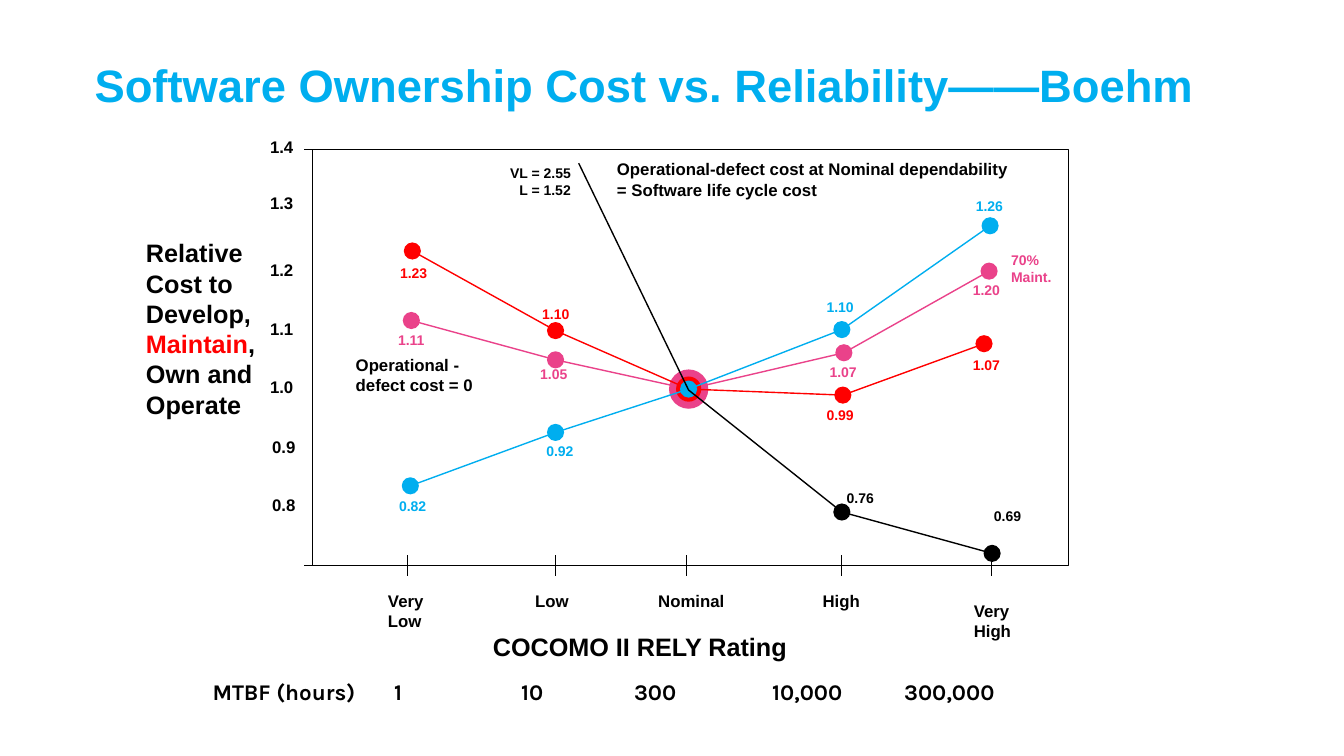
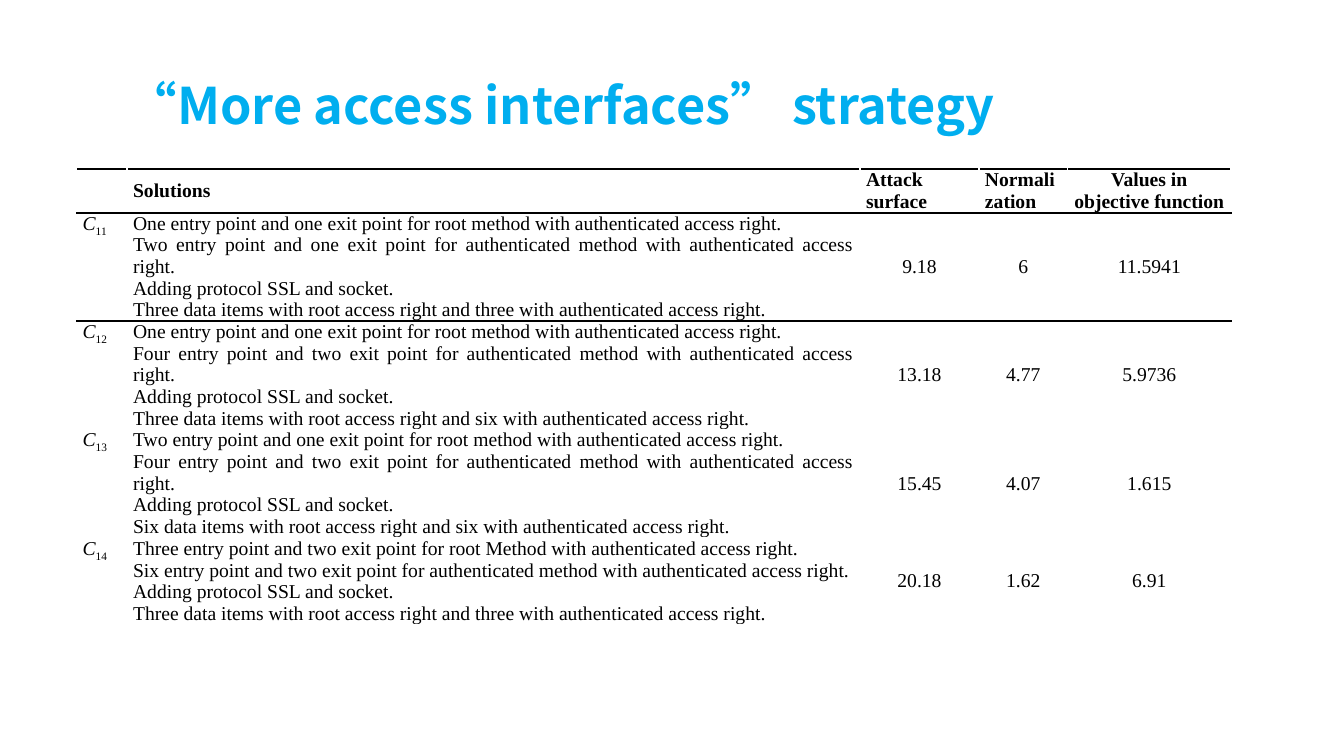
from dataclasses import dataclass

from lxml import etree
from pptx import Presentation
from pptx.dml.color import RGBColor
from pptx.enum import shapes, text
from pptx.oxml import ns
from pptx.util import Inches, Pt


@dataclass(frozen=True)
class Theme:
    cyan: str = "00AEEF"
    pink: str = "EA428A"
    red: str = "FF0000"
    black: str = "000000"
    sans: str = "Arial"
    serif: str = "Times New Roman"
    cjk: str = "Noto Sans CJK SC"
    mtbf: str = "Karla"
    title: float = 36
    small_title: float = 32.4
    heading: float = 18
    scale: float = 16
    cell: float = 14
    label: float = 12
    value: float = 10
    axis_line: float = 0.75
    series_line: float = 1
    rule: float = 1.5


T = Theme()
LEFT, CENTER, RIGHT, JUSTIFY = (getattr(text.PP_ALIGN, name) for name in
                                ("LEFT", "CENTER", "RIGHT", "JUSTIFY"))
DOT = 0.17

# Each series: colour, points (x, y, marker diameter), values (text, left, top)
SERIES = [
    (T.pink,
     [(4.08, 3.18, DOT), (5.51, 3.57, DOT), (6.83, 3.86, 0.39),
      (8.37, 3.5, DOT), (9.81, 2.69, DOT)],
     [("1.11", 3.85, 3.24), ("1.05", 5.26, 3.58), ("1.07", 8.13, 3.56),
      ("1.20", 9.55, 2.74)]),
    (T.red,
     [(4.09, 2.49, DOT), (5.51, 3.28, DOT), (6.83, 3.86, 0.25),
      (8.36, 3.92, DOT), (9.76, 3.41, DOT)],
     [("1.23", 3.87, 2.58), ("1.10", 5.28, 2.98), ("0.99", 8.1, 3.98),
      ("1.07", 9.55, 3.49)]),
    (T.cyan,
     [(4.07, 4.82, DOT), (5.51, 4.29, DOT), (6.83, 3.86, DOT),
      (8.35, 3.27, DOT), (9.82, 2.24, DOT)],
     [("0.82", 3.86, 4.89), ("0.92", 5.32, 4.34), ("1.10", 8.1, 2.91),
      ("1.26", 9.58, 1.91)]),
]
DEFECT_LINE = [(5.74, 1.62), (6.83, 3.87), (8.35, 5.08), (9.84, 5.49)]
DEFECT_VALUES = [("0.76", 8.3, 4.81), ("0.69", 9.76, 4.99)]

COST_TICKS = [("1.4", 2.58, 1.31), ("1.3", 2.58, 1.86), ("1.2", 2.58, 2.53),
              ("1.1", 2.58, 3.11), ("1.0", 2.58, 3.69), ("0.9", 2.6, 4.28),
              ("0.8", 2.6, 4.86)]
# Each rating: label lines, tick x, label left, label width, drop
RATINGS = [(["Very", "Low"], 4.04, 3.75, 0.56, 0),
           (["Low"], 5.51, 5.21, 0.54, 0),
           (["Nominal"], 6.81, 6.43, 0.86, 0),
           (["High"], 8.35, 8.06, 0.57, 0),
           (["Very", "High"], 9.83, 9.56, 0.57, 0.1)]
MTBF = ["MTBF (hours)", "1", "10", "300", "10,000", "300,000"]
MTBF_TABS = [1.8, 3.06, 4.18, 5.55, 6.86]

COLUMNS = [0.5, 7.27, 1.18, 0.88, 1.62]
ROWS = [0.43, 1.07, 1.07, 1.07, 0.86]
HEADERS = ["", "Solutions", "Attack surface", "Normalization",
           "Values in objective function"]
ROOT = "{} entry point and {} exit point for root {} with authenticated access right."
AUTH = ("{} entry point and {} exit point for authenticated method "
        "with authenticated access right.")
SSL = "Adding protocol SSL and socket."
DATA = "{} data items with root access right and {} with authenticated access right."
# Each solution: index, root, authenticated and data counts, results
SOLUTIONS = [
    ("11", ("One", "one", "method"), ("Two", "one"), ("Three", "three"),
     ["9.18", "6", "11.5941"]),
    ("12", ("One", "one", "method"), ("Four", "two"), ("Three", "six"),
     ["13.18", "4.77", "5.9736"]),
    ("13", ("Two", "one", "method"), ("Four", "two"), ("Six", "six"),
     ["15.45", "4.07", "1.615"]),
    ("14", ("Three", "two", "Method"), ("Six", "two"), ("Three", "three"),
     ["20.18", "1.62", "6.91"]),
]


def rgb(color):
    return RGBColor.from_string(color)


def apply(target, values):
    for name, value in values.items():
        setattr(target, name, value)


def font(size, color=T.black, name=T.sans, bold=True):
    return {"size": Pt(size), "name": name, "bold": bold, "color": color}


def add_run(p, content, style):
    r = p.add_run()
    r.text = content
    apply(r.font, {k: v for k, v in style.items() if k != "color"})
    r.font.color.rgb = rgb(style["color"])
    return r


def write(tf, lines, style, align=LEFT):
    """Fill a text frame; a line is a string or a list of (text, overrides)."""
    for i, line in enumerate(lines):
        p = tf.paragraphs[0] if i == 0 else tf.add_paragraph()
        p.alignment = align
        runs = [(line, {})] if isinstance(line, str) else line
        for content, overrides in runs:
            add_run(p, content, {**style, **overrides})


def add_text(s, box, lines, style, wrap=False, align=LEFT):
    tf = s.shapes.add_textbox(*map(Inches, box)).text_frame
    apply(tf, {"word_wrap": wrap,
               "auto_size": text.MSO_AUTO_SIZE.SHAPE_TO_FIT_TEXT})
    write(tf, lines, style, align)
    return tf


def add_title(s, content, box, size, name):
    tf = add_text(s, box, [content], font(size, T.cyan, name), wrap=True)
    apply(tf, {"auto_size": text.MSO_AUTO_SIZE.NONE,
               "vertical_anchor": text.MSO_ANCHOR.BOTTOM})
    p = tf.paragraphs[0]
    p.line_spacing = 0.8
    ea = etree.SubElement(p.runs[0].font._element, ns.qn("a:ea"))
    ea.set("typeface", name)


def add_line(s, start, end, color=T.black, width=T.axis_line):
    c = s.shapes.add_connector(shapes.MSO_CONNECTOR.STRAIGHT,
                               *map(Inches, (*start, *end)))
    c.line.color.rgb = rgb(color)
    c.line.width = Pt(width)
    etree.SubElement(c._element.spPr, ns.qn("a:effectLst"))


def add_dot(s, x, y, size, color):
    box = (x - size / 2, y - size / 2, size, size)
    sp = s.shapes.add_shape(shapes.MSO_SHAPE.OVAL, *map(Inches, box))
    sp.shadow.inherit = False
    sp.fill.solid()
    sp.fill.fore_color.rgb = rgb(color)
    sp.line.fill.background()


def outline(sp, width):
    sp.shadow.inherit = False
    sp.fill.background()
    sp.line.color.rgb = rgb(T.black)
    sp.line.width = Pt(width)


def add_values(s, values, color):
    for content, left, top in values:
        add_text(s, (left, top, 0.47, 0.27), [content], font(T.value, color))


def add_series(s, color, points, values):
    for start, end in zip(points, points[1:]):
        add_line(s, start[:2], end[:2], color, T.series_line)
    for x, y, size in points:
        add_dot(s, x, y, size, color)
    add_values(s, values, color)


def add_defect_line(s):
    start, *rest = [tuple(map(Inches, point)) for point in DEFECT_LINE]
    builder = s.shapes.build_freeform(*start)
    builder.add_line_segments(rest, close=False)
    outline(builder.convert_to_shape(), T.series_line)
    for x, y in DEFECT_LINE[2:]:
        add_dot(s, x, y, DOT, T.black)
    add_values(s, DEFECT_VALUES, T.black)


def add_axes(s):
    left, top, width, height = 3.1, 1.48, 7.5, 4.13
    bottom = top + height
    outline(s.shapes.add_shape(shapes.MSO_SHAPE.RECTANGLE,
                               *map(Inches, (left, top, width, height))),
            T.axis_line)
    for y in (top, bottom):
        add_line(s, (left - 0.08, y), (left + 0.08, y))
    for content, x, y in COST_TICKS:
        add_text(s, (x, y, 0.43, 0.3), [content], font(T.label))
    for lines, x, label_left, label_width, drop in RATINGS:
        add_line(s, (x, bottom - 0.1), (x, bottom + 0.1))
        add_text(s, (label_left, bottom + 0.2 + drop, label_width, 0.2 * len(lines) + 0.1),
                 lines, font(T.label))


def add_mtbf_scale(s):
    tf = add_text(s, (2.01, 6.68, 8.59, 0.37), ["\t".join(MTBF)],
                  font(T.scale, name=T.mtbf), wrap=True)
    tabs = etree.SubElement(tf.paragraphs[0]._p.get_or_add_pPr(), ns.qn("a:tabLst"))
    for position in MTBF_TABS:
        tab = etree.SubElement(tabs, ns.qn("a:tab"))
        tab.set("pos", str(Inches(position)))
        tab.set("algn", "l")


def cost_slide(s):
    add_title(s, "Software Ownership Cost vs. Reliability——Boehm",
              (0.84, 0.58, 11.33, 0.57), T.small_title, T.sans)
    add_axes(s)
    for series in SERIES:
        add_series(s, *series)
    add_defect_line(s)
    heading, label, value = map(font, (T.heading, T.label, T.value))
    add_text(s, (1.35, 2.31, 1.43, 1.9),
             [[("Relative Cost to Develop, ", {}), ("Maintain", {"color": T.red}),
               (",", {})], "Own and", "Operate"], heading, wrap=True)
    add_text(s, (4.79, 6.21, 4.5, 0.4), ["COCOMO II RELY Rating"], heading, wrap=True)
    add_text(s, (9.93, 2.45, 0.75, 0.43), ["70% Maint."],
             font(T.value, T.pink), wrap=True)
    add_text(s, (4.93, 1.58, 0.83, 0.43), ["VL = 2.55", "L = 1.52"], value, align=RIGHT)
    add_text(s, (6.02, 1.53, 4.08, 0.5),
             ["Operational-defect cost at Nominal dependability",
              "= Software life cycle cost"], label)
    add_text(s, (3.43, 3.47, 1.36, 0.5), ["Operational -", "defect cost = 0"], label)
    add_mtbf_scale(s)


def add_borders(cell, edges):
    tcPr = cell._tc.get_or_add_tcPr()
    for i, edge in enumerate(edges):
        ln = etree.Element(ns.qn("a:ln" + edge), w=str(Pt(T.rule)))
        fill = etree.SubElement(ln, ns.qn("a:solidFill"))
        etree.SubElement(fill, ns.qn("a:srgbClr"), val=T.black)
        tcPr.insert(i, ln)


def fill_cell(cell, lines, align, bold=False, anchor=text.MSO_ANCHOR.MIDDLE, edges=""):
    apply(cell, {"margin_left": Inches(0.06), "margin_right": Inches(0.06),
                 "margin_top": 0, "margin_bottom": 0, "vertical_anchor": anchor})
    cell.fill.background()
    write(cell.text_frame, lines, font(T.cell, name=T.serif, bold=bold), align)
    add_borders(cell, edges)


def strategy_slide(s):
    add_title(s, "“More access interfaces” strategy", (1.16, 0.58, 9.5, 0.8),
              T.title, T.cjk)
    box = (0.76, 1.68, sum(COLUMNS), sum(ROWS))
    table = s.shapes.add_table(len(ROWS), len(COLUMNS), *map(Inches, box)).table
    apply(table, {"first_row": False, "horz_banding": False})
    for column, width in zip(table.columns, COLUMNS):
        column.width = Inches(width)
    for row, height in zip(table.rows, ROWS):
        row.height = Inches(height)
    for i, header in enumerate(HEADERS):
        align = CENTER if i == len(HEADERS) - 1 else JUSTIFY
        fill_cell(table.cell(0, i), [header], align, bold=True, edges="TB")
    for i, (index, root, auth, data, results) in enumerate(SOLUTIONS, 1):
        edges = "T" if i == 1 else ""
        name = table.cell(i, 0)
        fill_cell(name, [[("C", {"italic": True}), (index, {})]], JUSTIFY,
                  anchor=text.MSO_ANCHOR.TOP, edges=edges)
        name.text_frame.paragraphs[0].runs[1].font._element.set("baseline", "-25000")
        fill_cell(table.cell(i, 1), [ROOT.format(*root), AUTH.format(*auth), SSL,
                                     DATA.format(*data)], JUSTIFY, edges=edges)
        for j, result in enumerate(results, 2):
            fill_cell(table.cell(i, j), [result], CENTER, edges=edges)


def main():
    prs = Presentation()
    apply(prs, {"slide_width": Inches(13.33), "slide_height": Inches(7.5)})
    for build in (cost_slide, strategy_slide):
        build(prs.slides.add_slide(prs.slide_layouts[6]))
    prs.save("out.pptx")


if __name__ == "__main__":
    main()
